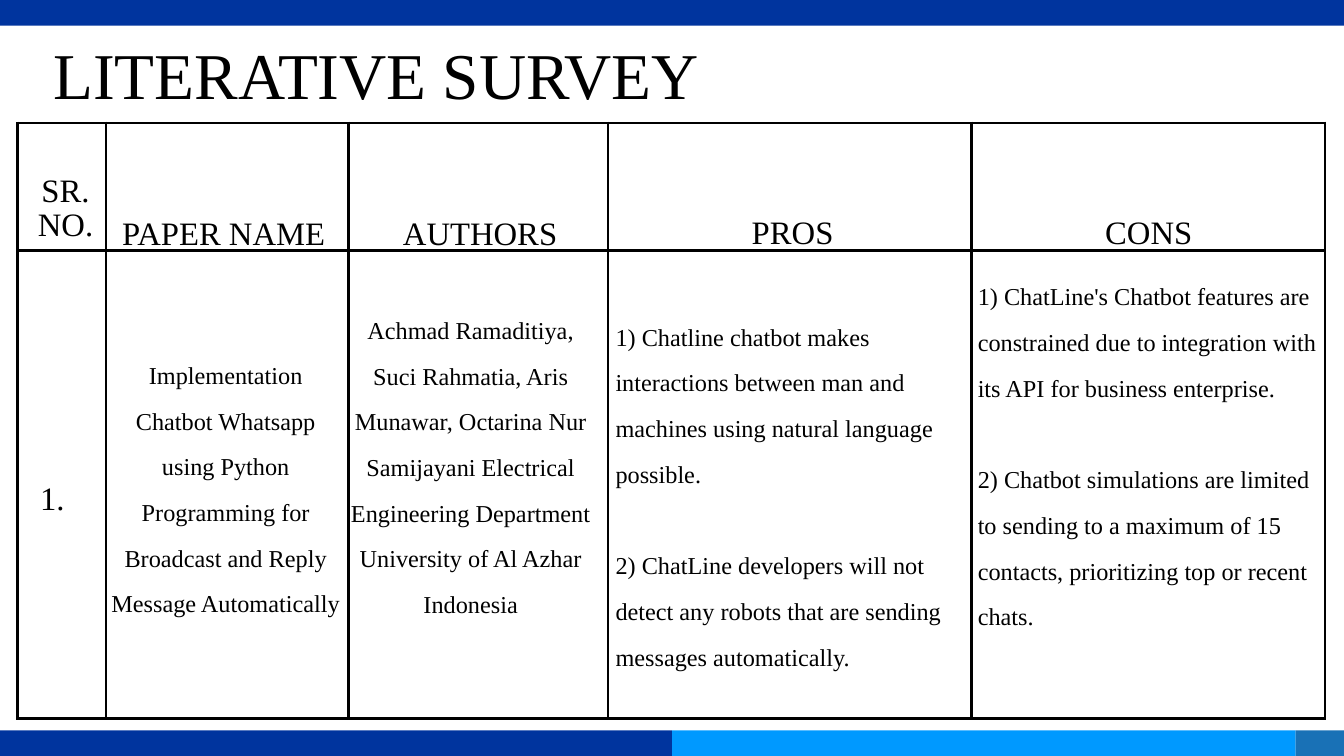
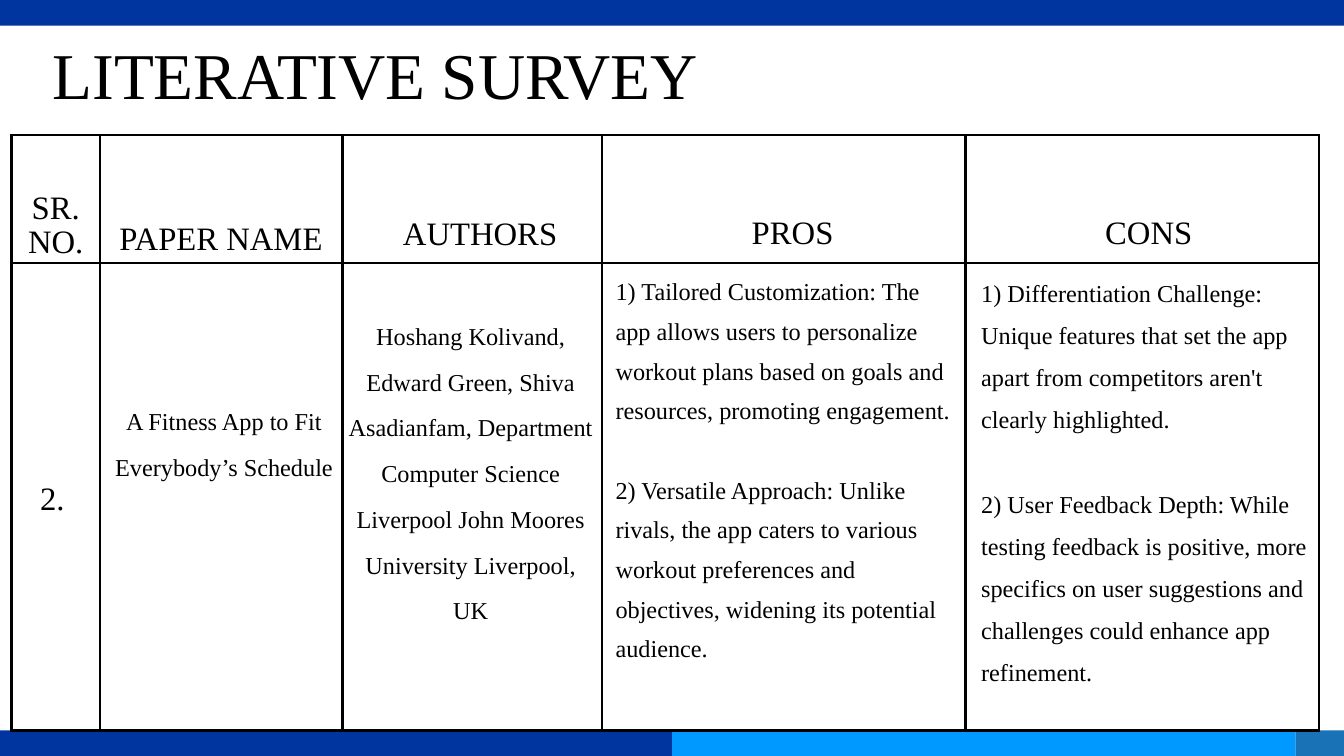
from pptx import Presentation
from pptx.dml.color import RGBColor
from pptx.enum.shapes import MSO_SHAPE as Shape
from pptx.enum.text import MSO_ANCHOR as Anchor, MSO_AUTO_SIZE as AutoSize, PP_ALIGN as Align
from pptx.oxml.ns import qn
from pptx.util import Inches, Pt
from lxml.etree import SubElement

FONT = "Times New Roman"
BLACK, NAVY, SKY, STEEL = "000000", "00349E", "0099FF", "1971B6"
SLIDE_BOX = (0, 0, 20, 11.25)
BAND_HEIGHT = 0.38
FOOTER_BANDS = [(10, NAVY), (9.28, SKY), (0.72, STEEL)]
COLUMN_WIDTHS = [1.32, 3.61, 3.86, 5.41, 5.26]
ROW_HEIGHTS = [1.9, 6.96]
HEADINGS = ["SR. NO.", "PAPER NAME", "AUTHORS", "PROS", "CONS"]
HEADING_SPACING = [36.2, 70, 70, 70, 70]
ENTRY_SIZES = [35, 26, 26, 26, 26]
ENTRY_ALIGNS = [Align.CENTER] * 3 + [Align.LEFT] * 2

# Heading and entry boxes are measured from the table's top left corner
SURVEYS = [
    {
        "title_box": (0.45, 0.32, 10.3, 1.26),
        "title_align": Align.CENTER,
        "table_origin": (0.26, 1.83),
        "heading_boxes": [(0.04, 0.78, 1.35, 1.01), (1.14, 0.95, 3.86, 0.85),
                          (4.74, 0.95, 4.29, 0.85), (9.28, 0.94, 4.51, 0.85),
                          (14.61, 0.94, 4.45, 0.85)],
        "entry_boxes": [(-0.26, 4.89, 1.56, 0.85), (1.35, 3.28, 3.5, 4.04),
                        (4.91, 2.61, 3.67, 4.71), (8.9, 2.71, 5.27, 5.41),
                        (14.29, 2.11, 5.09, 6.78)],
        "entry_spacing": [70, 49, 49, 49, 49],
        "entries": [
            ["1."],
            ["Implementation Chatbot Whatsapp using Python Programming for "
             "Broadcast and Reply Message Automatically"],
            ["Achmad Ramaditiya, Suci Rahmatia, Aris Munawar, Octarina Nur Samijayani "
             "Electrical Engineering Department University of Al Azhar Indonesia"],
            ["1) Chatline chatbot makes interactions between man and machines "
             "using natural language possible.",
             "2) ChatLine developers will not detect any robots that are sending "
             "messages automatically."],
            ["1) ChatLine's Chatbot features are constrained due to integration "
             "with its API for business enterprise.",
             "2) Chatbot simulations are limited to sending to a maximum of 15 "
             "contacts, prioritizing top or recent chats."],
        ],
    },
    {
        "title_box": (0.78, 0.32, 16.14, 1.26),
        "title_align": Align.LEFT,
        "table_origin": (0.17, 2.01),
        "heading_boxes": [(-0.17, 0.85, 1.66, 1.01), (1.31, 0.85, 3.62, 0.85),
                          (4.83, 0.77, 4.29, 0.85), (9.37, 0.76, 4.51, 0.85),
                          (14.7, 0.76, 4.45, 0.85)],
        "entry_boxes": [(-0.17, 4.71, 1.56, 0.85), (1.33, 3.79, 3.67, 1.28),
                        (5, 2.52, 3.67, 4.72), (8.99, 1.95, 5.1, 6.42),
                        (14.43, 1.94, 4.95, 6.23)],
        "entry_spacing": [70, 49, 49, 42.5, 45.1],
        "entries": [
            ["2."],
            ["A Fitness App to Fit Everybody’s Schedule"],
            ["Hoshang Kolivand, Edward Green, Shiva Asadianfam, Department Computer "
             "Science Liverpool John Moores University Liverpool, UK"],
            ["1) Tailored Customization: The app allows users to personalize workout "
             "plans based on goals and resources, promoting engagement.",
             "2) Versatile Approach: Unlike rivals, the app caters to various workout "
             "preferences and objectives, widening its potential audience."],
            ["1) Differentiation Challenge: Unique features that set the app apart "
             "from competitors aren't clearly highlighted.",
             "2) User Feedback Depth: While testing feedback is positive, more "
             "specifics on user suggestions and challenges could enhance app refinement."],
        ],
    },
]


def color(hex_string):
    return RGBColor.from_string(hex_string)


def inches(box):
    return [Inches(length) for length in box]


def write(shape, paragraphs, size, spacing, align):
    """Fill a shape with text; one empty line's height separates paragraphs."""
    frame = shape.text_frame
    frame.margin_left = frame.margin_top = frame.margin_right = frame.margin_bottom = 0
    frame.word_wrap = True
    frame.auto_size = AutoSize.NONE
    frame.vertical_anchor = Anchor.TOP
    frame.text = "\n".join(paragraphs)
    for index, paragraph in enumerate(frame.paragraphs):
        paragraph.alignment = align
        paragraph.line_spacing = Pt(spacing)
        paragraph.space_before = Pt(spacing if index else 0)
        for run in paragraph.runs:
            run.font.name = FONT
            run.font.size = Pt(size)
            run.font.color.rgb = color(BLACK)


def add_band(slide, box, fill):
    band = slide.shapes.add_shape(Shape.RECTANGLE, *inches(box))
    band.shadow.inherit = False
    band.fill.solid()
    band.fill.fore_color.rgb = color(fill)
    band.line.fill.background()


def add_bands(slide, box):
    left, top, width, height = box
    add_band(slide, (left, top, width, BAND_HEIGHT), NAVY)
    for band_width, fill in FOOTER_BANDS:
        add_band(slide, (left, top + height - BAND_HEIGHT, band_width, BAND_HEIGHT), fill)
        left += band_width


def add_title(slide, box, align):
    title = slide.shapes.title
    title.left, title.top, title.width, title.height = inches(box)
    write(title, ["LITERATIVE SURVEY"], 70, 98, align)


def set_borders(cell, hex_string, width):
    properties = cell._tc.get_or_add_tcPr()
    for position, side in enumerate(("lnL", "lnR", "lnT", "lnB")):
        line = SubElement(properties, qn(f"a:{side}"), w=str(Pt(width)))
        fill = SubElement(line, qn("a:solidFill"))
        SubElement(fill, qn("a:srgbClr"), val=hex_string)
        properties.insert(position, line)


def add_grid(slide, origin):
    box = (*origin, sum(COLUMN_WIDTHS), sum(ROW_HEIGHTS))
    table = slide.shapes.add_table(len(ROW_HEIGHTS), len(COLUMN_WIDTHS), *inches(box)).table
    table.first_row = table.horz_banding = False
    for column, width in zip(table.columns, COLUMN_WIDTHS):
        column.width = Inches(width)
    for row, height in zip(table.rows, ROW_HEIGHTS):
        row.height = Inches(height)
    for cell in table.iter_cells():
        cell.fill.background()
        set_borders(cell, BLACK, 3)


def add_text(slide, origin, box, paragraphs, size, spacing, align):
    left, top, width, height = box
    placed = (origin[0] + left, origin[1] + top, width, height)
    write(slide.shapes.add_textbox(*inches(placed)), paragraphs, size, spacing, align)


def add_survey(slide, origin, survey):
    add_grid(slide, origin)
    # Column headings
    for box, heading, spacing in zip(survey["heading_boxes"], HEADINGS, HEADING_SPACING):
        add_text(slide, origin, box, [heading], 35, spacing, Align.CENTER)
    # Reviewed paper
    for box, *style in zip(survey["entry_boxes"], survey["entries"], ENTRY_SIZES,
                           survey["entry_spacing"], ENTRY_ALIGNS):
        add_text(slide, origin, box, *style)


def main():
    presentation = Presentation()
    presentation.slide_width, presentation.slide_height = inches(SLIDE_BOX[2:])
    for survey in SURVEYS:
        slide = presentation.slides.add_slide(presentation.slide_layouts[5])
        add_bands(slide, SLIDE_BOX)
        add_title(slide, survey["title_box"], survey["title_align"])
        add_survey(slide, survey["table_origin"], survey)
    presentation.save("out.pptx")


if __name__ == "__main__":
    main()
